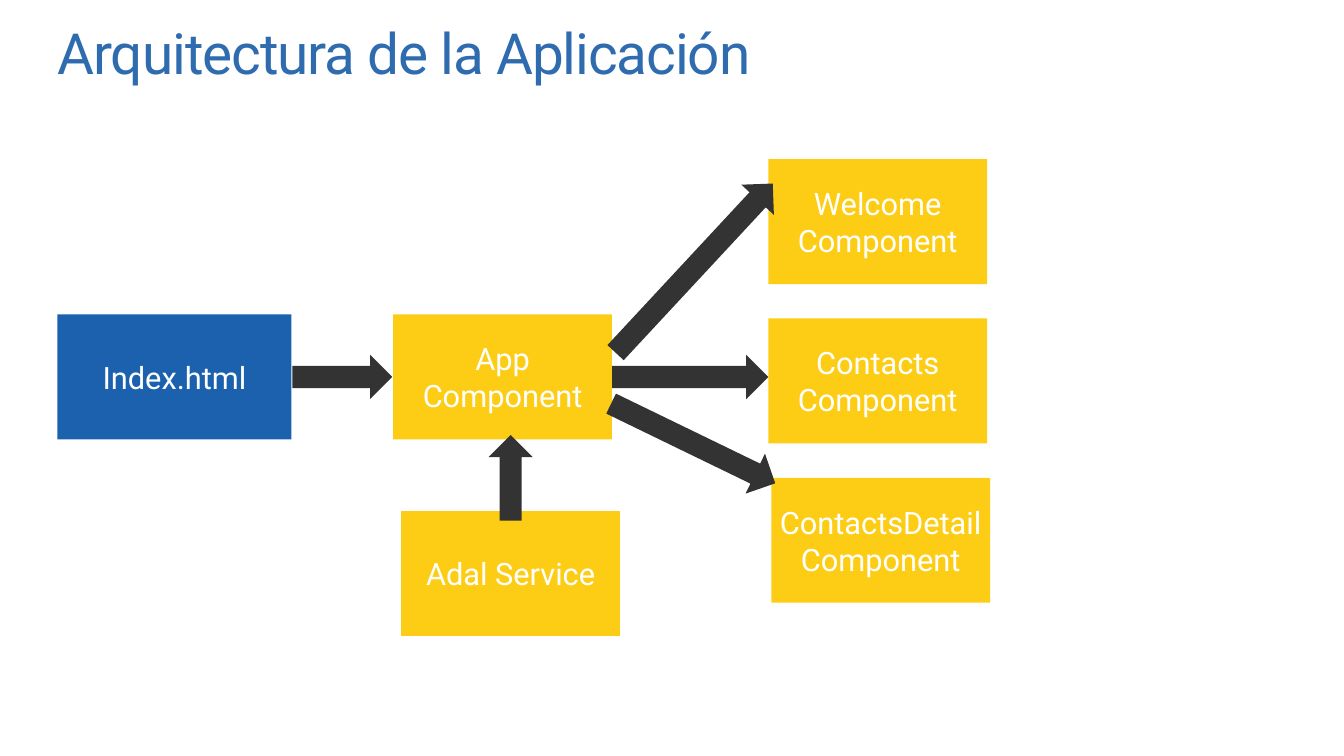
from dataclasses import dataclass

import pptx
import pptx.dml.color
import pptx.enum.shapes
import pptx.enum.text
import pptx.util

Inches = pptx.util.Inches
KIND = pptx.enum.shapes.MSO_SHAPE
ALIGN = pptx.enum.text.PP_ALIGN
ANCHOR = pptx.enum.text.MSO_ANCHOR

BLUE, GOLD, DARK, WHITE = "1B61AE", "FDCD15", "333333", "FFFFFF"
HIGH = 1.24   # height of every box
THICK = 0.44  # thickness of every arrow


@dataclass
class Box:
    text: str
    left: float
    top: float
    width: float = 2.17
    fill: str = GOLD


@dataclass
class Arrow:
    left: float
    top: float
    length: float
    turn: float = 0


def color(code: str) -> pptx.dml.color.RGBColor:
    return pptx.dml.color.RGBColor.from_string(code)


def write(shape, text: str, *, size: float, ink: str, align=ALIGN.LEFT,
          anchor=ANCHOR.TOP, inset: float = 0, line: float = 1,
          track: int = 0) -> None:
    frame = shape.text_frame
    frame.word_wrap = True
    frame.vertical_anchor = anchor
    frame.margin_left = frame.margin_right = Inches(inset)
    frame.margin_top = frame.margin_bottom = Inches(inset)
    para = frame.paragraphs[0]
    para.alignment = align
    para.line_spacing = line
    run = para.add_run()
    run.text = text
    run.font.name = "Roboto"
    run.font.size = pptx.util.Pt(size)
    run.font.color.rgb = color(ink)
    if track:
        run.font._element.set("spc", str(track))


def draw(slide, kind, left: float, top: float, width: float, height: float,
         fill: str):
    shape = slide.shapes.add_shape(
        kind, Inches(left), Inches(top), Inches(width), Inches(height))
    shape.shadow.inherit = False
    shape.fill.solid()
    shape.fill.fore_color.rgb = color(fill)
    shape.line.fill.background()
    return shape


def add_box(slide, box: Box) -> None:
    shape = draw(slide, KIND.RECTANGLE, box.left, box.top, box.width, HIGH,
                 box.fill)
    write(shape, box.text, size=22, ink=WHITE, align=ALIGN.CENTER,
          anchor=ANCHOR.MIDDLE, inset=0.05)


def add_arrow(slide, arrow: Arrow) -> None:
    shape = draw(slide, KIND.RIGHT_ARROW, arrow.left, arrow.top, arrow.length,
                 THICK, DARK)
    shape.rotation = arrow.turn


BOXES = [
    Box("Index.html", 0.57, 3.12, 2.32, BLUE),
    Box("App Component", 3.9, 3.12),
    Box("Adal Service", 3.98, 5.07),
    Box("Welcome Component", 7.62, 1.58),
    Box("Contacts Component", 7.62, 3.16),
    Box("ContactsDetail Component", 7.65, 4.74),
]

ARROWS = [
    Arrow(5.97, 4.18, 1.81, 25.9),   # app to detail
    Arrow(5.74, 2.44, 2.29, 312.9),  # app to welcome
    Arrow(6.07, 3.52, 1.55),         # app to contacts
    Arrow(2.9, 3.52, 0.99),          # index to app
    Arrow(4.64, 4.52, 0.85, 270),    # service to app
]


def main() -> None:
    deck = pptx.Presentation()
    deck.slide_width, deck.slide_height = Inches(13.33), Inches(7.5)
    slide = deck.slides.add_slide(deck.slide_layouts[6])

    # Title
    title = slide.shapes.add_textbox(
        Inches(0.57), Inches(0.25), Inches(12.2), Inches(0.82))
    write(title, "Arquitectura de la Aplicación", size=40.5, ink="2E6CAF",
          line=0.9, track=-80)

    # Diagram
    for box in BOXES:
        add_box(slide, box)
    for arrow in ARROWS:
        add_arrow(slide, arrow)

    deck.save("out.pptx")


if __name__ == "__main__":
    main()
